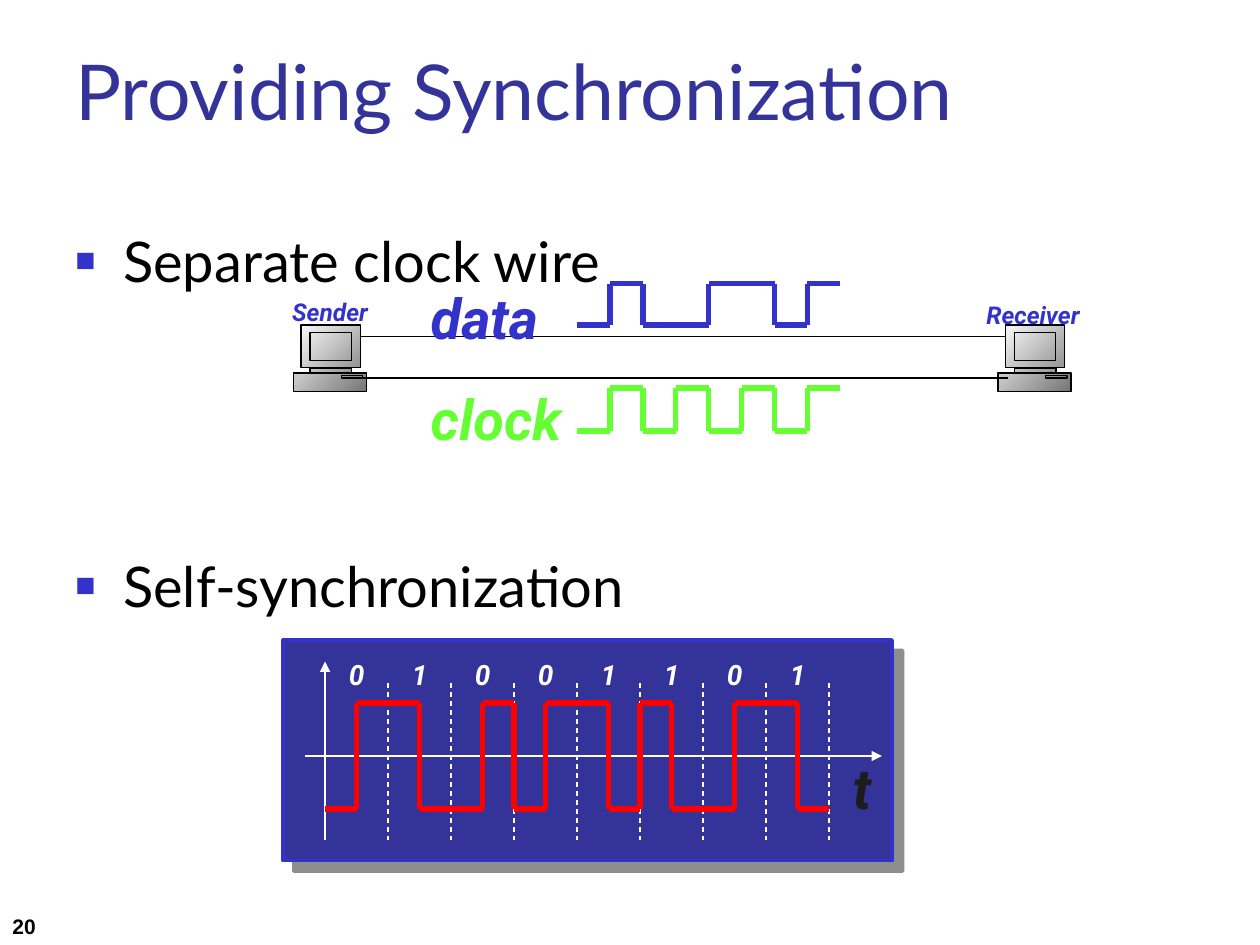
from itertools import pairwise

from lxml.etree import SubElement
from pptx import Presentation
from pptx.dml.color import RGBColor
from pptx.enum.dml import MSO_LINE
from pptx.enum.shapes import MSO_CONNECTOR, MSO_SHAPE
from pptx.enum.text import MSO_ANCHOR, MSO_AUTO_SIZE, PP_ALIGN
from pptx.oxml.ns import qn
from pptx.util import Inches, Pt

BLACK, WHITE, NAVY, BLUE = "000000", "FFFFFF", "333399", "3333CC"
GREEN, RED, DARK, GRAY = "66FF33", "FF0000", "1C1C1C", "767676"
BITS = "01001101"


def color(code):
    """Return the colour for a hex string."""
    return RGBColor.from_string(code)


def manchester(bits):
    """Return the two half-bit levels of every bit."""
    return "".join("10" if bit == "1" else "01" for bit in bits)


class SlideBuilder:
    """Draw styled elements on one slide."""

    def __init__(self, slide, heading_font="Lato", label_font="Roboto"):
        """Keep the slide and its fonts."""
        self.slide = slide
        self.heading_font = heading_font
        self.label_font = label_font

    def format_runs(self, paragraph, size, code, name, bold=False, italic=False):
        """Style every run of a paragraph."""
        for run in paragraph.runs:
            font = run.font
            font.size, font.name, font.bold, font.italic = Pt(size), name, bold, italic
            font.color.rgb = color(code)

    def text_box(self, text, left, top, width, height, size, code, name,
                 bold=False, italic=False, anchor=MSO_ANCHOR.TOP):
        """Add a wrapped text box and return its text frame."""
        shape = self.slide.shapes.add_textbox(
            Inches(left), Inches(top), Inches(width), Inches(height))
        text_frame = shape.text_frame
        text_frame.word_wrap = True
        text_frame.vertical_anchor = anchor
        text_frame.text = text
        for paragraph in text_frame.paragraphs:
            self.format_runs(paragraph, size, code, name, bold, italic)
        return text_frame

    def label(self, text, left, top, width, height, size, code, centered=False):
        """Add a bold italic label that fits its text."""
        text_frame = self.text_box(text, left, top, width, height, size, code,
                                   self.label_font, bold=True, italic=True)
        text_frame.auto_size = MSO_AUTO_SIZE.SHAPE_TO_FIT_TEXT
        text_frame.word_wrap = centered
        if centered:
            text_frame.paragraphs[0].alignment = PP_ALIGN.CENTER

    def bullets(self, items, left, top, width, height, gap):
        """Add a list with square bullets."""
        text_frame = self.text_box("\n".join(items), left, top, width, height,
                                   32, BLACK, self.heading_font)
        for index, paragraph in enumerate(text_frame.paragraphs):
            properties = paragraph._p.get_or_add_pPr()
            properties.set("marL", str(Inches(0.38)))
            properties.set("indent", str(-Inches(0.38)))
            bullet_color = SubElement(properties, qn("a:buClr"))
            SubElement(bullet_color, qn("a:srgbClr"), val=BLUE)
            SubElement(properties, qn("a:buSzPct"), val="60000")
            SubElement(properties, qn("a:buFont"), typeface="Arial")
            SubElement(properties, qn("a:buChar"), char="■")
            if index:
                paragraph.space_before = Pt(gap)

    def line(self, start, end, code, width, dashed=False, arrow=False):
        """Add a straight line between two points."""
        connector = self.slide.shapes.add_connector(
            MSO_CONNECTOR.STRAIGHT, *map(Inches, (*start, *end)))
        connector.line.color.rgb = color(code)
        connector.line.width = Pt(width)
        if dashed:
            connector.line.dash_style = MSO_LINE.DASH
        if arrow:
            SubElement(connector.line._get_or_add_ln(), qn("a:tailEnd"), type="triangle")
        SubElement(connector._element.spPr, qn("a:effectLst"))

    def wave(self, levels, left, high, low, step, code):
        """Draw a square wave from a string of levels."""
        heights = [high if level == "1" else low for level in levels]
        for index, y in enumerate(heights):
            x = left + index * step
            self.line((x, y), (x + step, y), code, 3)
        for index, (before, after) in enumerate(pairwise(heights), 1):
            if before != after:
                x = left + index * step
                self.line((x, high), (x, low), code, 3)

    def outline(self, shape, code, width):
        """Give a shape a plain outline without a shadow."""
        shape.shadow.inherit = False
        shape.line.color.rgb = color(code)
        shape.line.width = Pt(width)

    def rectangle(self, left, top, width, height, line_code, line_width, fill=None):
        """Add a rectangle, hollow unless a fill is given."""
        shape = self.slide.shapes.add_shape(
            MSO_SHAPE.RECTANGLE, *map(Inches, (left, top, width, height)))
        self.outline(shape, line_code, line_width)
        if fill:
            shape.fill.solid()
            shape.fill.fore_color.rgb = color(fill)
        else:
            shape.fill.background()
        return shape

    def panel(self, left, top, width, height):
        """Add the chart panel with its drop shadow."""
        shape = self.rectangle(left, top, width, height, BLUE, 2.25, NAVY)
        effects = shape._element.spPr.find(qn("a:effectLst"))
        shadow = SubElement(effects, qn("a:outerShdw"), blurRad="0",
                            dist=str(Pt(8.5)), dir="2700000", algn="ctr", rotWithShape="0")
        shadow_color = SubElement(shadow, qn("a:srgbClr"), val=DARK)
        SubElement(shadow_color, qn("a:alpha"), val="50000")

    def computer(self, left, top):
        """Draw a desktop computer."""
        corners = [(0.46, 0.38), (0.46, 0.34), (0.53, 0.34), (0.53, 0), (0.06, 0),
                   (0.06, 0.34), (0.13, 0.34), (0.13, 0.38), (0, 0.38), (0, 0.53),
                   (0.58, 0.53), (0.58, 0.38)]
        points = [(Inches(left + x), Inches(top + y)) for x, y in corners]
        builder = self.slide.shapes.build_freeform(*points[0])
        builder.add_line_segments(points[1:], close=True)
        body = builder.convert_to_shape()
        self.outline(body, BLACK, 0.75)
        body.fill.gradient()
        body.fill.gradient_angle = 315
        for stop, code, position in zip(body.fill.gradient_stops, (WHITE, GRAY), (0, 1)):
            stop.color.rgb = color(code)
            stop.position = position
        neck, screen, slot = (0.13, 0.34, 0.33, 0.04), (0.13, 0.06, 0.33, 0.22), (0.38, 0.4, 0.17, 0.02)
        for x, y, width, height in (neck, screen, slot):
            self.rectangle(left + x, top + y, width, height, BLACK, 0.75)


def main():
    """Build the slide and save it."""
    presentation = Presentation()
    presentation.slide_width, presentation.slide_height = Inches(10), Inches(7.5)
    slide = presentation.slides.add_slide(presentation.slide_layouts[6])
    builder = SlideBuilder(slide)

    builder.text_box("20", 0, 7, 2.08, 0.5, 12, BLACK, "Arial",
                     bold=True, anchor=MSO_ANCHOR.BOTTOM)
    builder.text_box("Providing Synchronization", 0.5, 0.3, 9, 1.25, 44, NAVY,
                     builder.heading_font)
    builder.bullets(["Separate clock wire", "Self-synchronization"],
                    0.5, 1.75, 9, 4.95, gap=147)

    builder.line((2.83, 2.67), (8, 2.67), BLACK, 0.75)
    for left in (2.33, 7.92):
        builder.computer(left, 2.58)
    builder.label("Sender", 2.22, 2.31, 0.83, 0.34, 14, BLUE)
    builder.label("Receiver", 7.73, 2.33, 0.98, 0.34, 14, BLUE)
    step = (6.67 - 4.58) / len(BITS)
    builder.wave(BITS, 4.58, 2.25, 2.58, step, BLUE)
    builder.label("data", 3.32, 2.2, 1.17, 0.64, 32, BLUE)
    builder.line((2.83, 3), (8, 3), BLACK, 0.75)
    builder.wave("01" * 4, 4.58, 3.08, 3.42, step, GREEN)
    builder.label("clock", 3.32, 3, 1.27, 0.64, 32, GREEN)

    builder.panel(2.25, 5.08, 4.83, 1.75)
    builder.line((2.58, 6.67), (2.58, 5.25), WHITE, 1.5, arrow=True)
    builder.line((2.42, 6), (7, 6), WHITE, 1.5, arrow=True)
    builder.label("t", 6.67, 5.93, 0.38, 0.64, 32, DARK)
    for index, bit in enumerate(BITS):
        left = 2.58 + index * 0.5
        builder.line((left + 0.5, 5.42), (left + 0.5, 6.67), WHITE, 0.75, dashed=True)
        builder.label(bit, left, 5.17, 0.5, 0.37, 16, WHITE, centered=True)
    builder.wave(manchester(BITS), 2.58, 5.58, 6.42, 0.25, RED)

    presentation.save("out.pptx")


if __name__ == "__main__":
    main()
